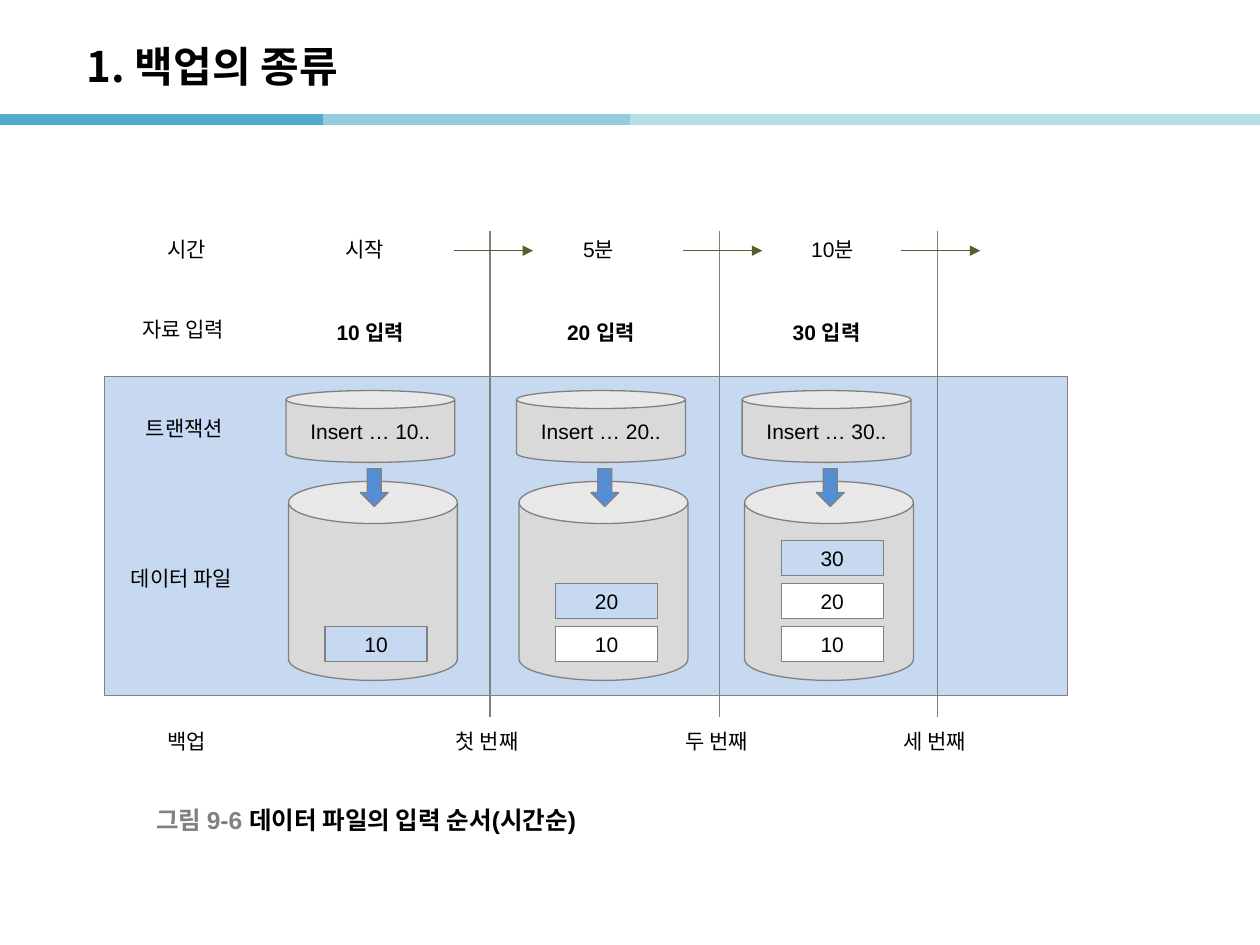
from lxml import etree
from pptx import Presentation, util as u
from pptx.dml.color import RGBColor
from pptx.enum import shapes, text
from pptx.oxml import ns

HUES = {"deep": "50ABCC", "mid": "93CDDD", "pale": "B7DEE8", "panel": "C6D9F1",
        "grey": "808080", "can": "D9D9D9", "arrow": "558ED5", "olive": "4F6228",
        "white": "FFFFFF", "black": "000000"}
KIND = shapes.MSO_SHAPE
BODY = {"name": "Arial", "size": u.Pt(12), "bold": False}
BOLD = {**BODY, "bold": True}
HEAD = {"name": "Noto Sans CJK KR", "size": u.Pt(24), "bold": True}
CAP = {**BOLD, "size": u.Pt(14)}


def hue(key):
    """Give the colour with this key."""
    return RGBColor.from_string(HUES[key])


def place(item, box):
    """Move and size an item to a box in inches."""
    for name, val in zip(("left", "top", "width", "height"), box):
        setattr(item, name, u.Inches(val))


def write(para, words, style, key="black"):
    """Add a styled run to a paragraph."""
    run = para.add_run()
    run.text = words
    for name, val in style.items():
        setattr(run.font, name, val)
    run.font.color.rgb = hue(key)


def shape(slide, kind, box, fill, words="", style=BODY, line=0.75):
    """Add a filled shape with centred words."""
    item = slide.shapes.add_shape(kind, *map(u.Inches, box))
    item.shadow.inherit = False
    item.fill.solid()
    item.fill.fore_color.rgb = hue(fill)
    if line:
        item.line.color.rgb = hue("grey")
        item.line.width = u.Pt(line)
    else:
        item.line.fill.background()
    if words:
        frame = item.text_frame
        form = {"margin_left": 0, "margin_right": 0, "word_wrap": True,
                "vertical_anchor": text.MSO_ANCHOR.MIDDLE}
        for name, val in form.items():
            setattr(frame, name, val)
        frame.paragraphs[0].alignment = text.PP_ALIGN.CENTER
        write(frame.paragraphs[0], words, style)


def label(slide, box, parts, style=BODY, wrap=False, anchor="TOP"):
    """Add a text box made of (words, colour) parts."""
    frame = slide.shapes.add_textbox(*map(u.Inches, box)).text_frame
    frame.word_wrap = wrap
    frame.vertical_anchor = text.MSO_ANCHOR[anchor]
    for words, key in parts:
        write(frame.paragraphs[0], words, style, key)


def rule(slide, ends, key="grey", width=0.75, tip=False):
    """Add a straight line, with an arrowhead if asked."""
    item = slide.shapes.add_connector(shapes.MSO_CONNECTOR.STRAIGHT, *map(u.Inches, ends))
    item.line.color.rgb = hue(key)
    item.line.width = u.Pt(width)
    if tip:
        etree.SubElement(item.line._get_or_add_ln(), ns.qn("a:tailEnd"), type="triangle")
    etree.SubElement(item._element.spPr, ns.qn("a:effectLst"))


def header(slide, box):
    """Set the title and the coloured band below it."""
    left, top, width, height = box
    title = slide.shapes.title
    place(title, (left, top, width, height))
    title.text_frame.vertical_anchor = text.MSO_ANCHOR.MIDDLE
    para = title.text_frame.paragraphs[0]
    para.alignment = text.PP_ALIGN.LEFT
    write(para, "1. 백업의 종류", HEAD)
    y = top + 0.73
    for x, key in ((0, "deep"), (2.56, "mid"), (5, "pale"), (7.46, "pale")):
        rule(slide, (x, y, x + 2.56, y), key, 6)


def stage(slide, box, count):
    """Draw the entry, transaction and data file of one step."""
    x, y, width, height = box
    value = count * 10
    shape(slide, KIND.RECTANGLE, (x + 0.27, y - 0.64, 0.8, 0.35), "white",
          f"{value} 입력", BOLD, 0)
    shape(slide, KIND.CAN, (x, y, width, 0.57), "can", f"Insert … {value}..")
    shape(slide, KIND.CAN, (x + 0.02, y + 0.72, width, height - 0.72), "can")
    for row in range(count):
        fill = "panel" if row == count - 1 else "white"
        shape(slide, KIND.RECTANGLE, (x + 0.31, y + 1.87 - row * 0.34, 0.81, 0.28),
              fill, str(row * 10 + 10))
    shape(slide, KIND.DOWN_ARROW, (x + 0.59, y + 0.62, 0.22, 0.3), "arrow")


def backup(slide, box, words):
    """Draw one backup point with its time arrow and name."""
    x, top, width, height = box
    rule(slide, (x, top, x, top + height))
    rule(slide, (x - 0.29, top + 0.16, x + 0.34, top + 0.16), "olive", tip=True)
    label(slide, (x - 0.37, top + height + 0.04, width, 0.3), [(words, "black")])


def names(slide, box):
    """Write the row names and the times."""
    left, top, width, height = box
    rows = (("시간", 0.29, 0, 0.54), ("자료 입력", 0.09, 0.63, 0.93),
            ("트랜잭션", 0.12, 1.42, 0.88), ("데이터 파일", 0, 2.61, width),
            ("백업", 0.29, 3.9, 0.54), ("시작", 1.7, 0, 0.54),
            ("5분", 3.59, 0, 0.46), ("10분", 5.4, 0, 0.56))
    for words, x, y, wide in rows:
        label(slide, (left + x, top + y, wide, height), [(words, "black")],
              wrap=words.endswith("분"))


def main():
    """Build and save the slide."""
    deck = Presentation()
    deck.slide_width, deck.slide_height = u.Inches(10), u.Inches(7.5)
    slide = deck.slides.add_slide(deck.slide_layouts[5])
    header(slide, (0.59, 0.22, 8.27, 0.6))
    shape(slide, KIND.RECTANGLE, (0.83, 2.99, 7.64, 2.53), "panel", line=0.25)
    for count, x in enumerate((2.27, 4.1, 5.89), 1):
        stage(slide, (x, 3.1, 1.34, 2.3), count)
    for x, words in ((3.89, "첫 번째"), (5.71, "두 번째"), (7.44, "세 번째")):
        backup(slide, (x, 1.83, 0.77, 3.86), words)
    names(slide, (0.94, 1.83, 1.1, 0.3))
    label(slide, (1.14, 6.35, 3.8, 0.31),
          [("그림 9-6 ", "grey"), ("데이터 파일의 입력 순서(시간순)", "black")],
          CAP, True, "MIDDLE")
    deck.save("out.pptx")


if __name__ == "__main__":
    main()
